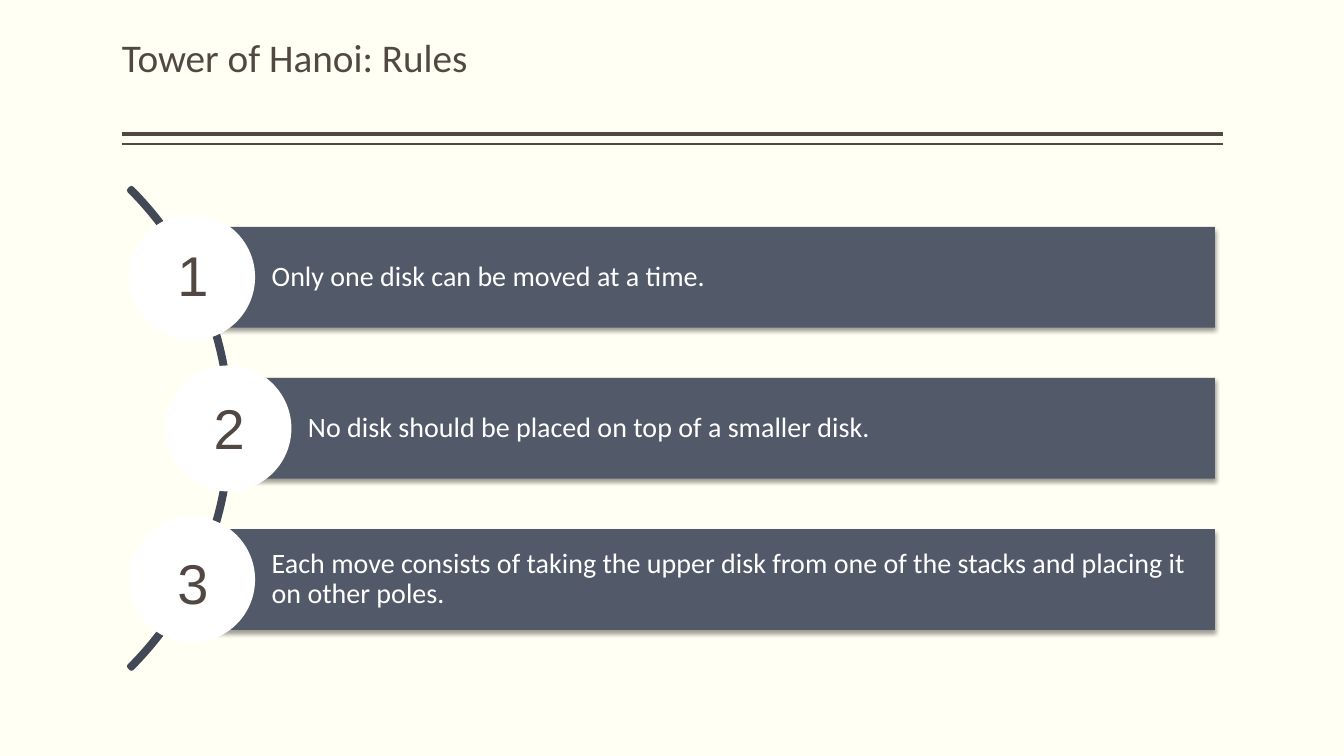
from pptx import Presentation
from pptx.dml.color import RGBColor as RGB
from pptx.enum.shapes import MSO_CONNECTOR as Link, MSO_SHAPE as Kind
from pptx.enum.text import MSO_ANCHOR as Anchor, PP_ALIGN as Align
from pptx.oxml import parse_xml
from pptx.oxml.ns import nsdecls
from pptx.util import Inches, Pt

# Content
TITLE = "Tower of Hanoi: Rules"
# number, rule, indent, top and width of the number's box
RULES = [
    ("1", "Only one disk can be moved at a time.", 0, 2.34, 0.52),
    ("2", "No disk should be placed on top of a smaller disk.", 0.36, 3.86, 0.63),
    ("3", "Each move consists of taking the upper disk from one of the stacks "
          "and placing it on other poles.", 0, 5.39, 0.91),
]
LINES = [(1.33, 3), (1.43, 1)]  # height, weight

# Colours
CREAM = RGB(0xFF, 0xFF, 0xF3)
BROWN = RGB(0x51, 0x48, 0x43)
SLATE = RGB(0x52, 0x5A, 0x6A)
DARK = RGB(0x42, 0x48, 0x55)
WHITE = RGB(0xFF, 0xFF, 0xFF)

# Grid
WIDE, HIGH = 13.33, 7.5
LEFT, RIGHT = 1.21, 12.13
EDGE = 12.05   # right end of the bars
FIRST = 2.25   # top of the first bar
STEP = 1.5     # from bar to bar
BAR = 1.0
DISK = 1.25 * BAR
START = 1.28   # left of the outer disks
ARC = 6.73

SHADOW = (f'<a:effectLst {nsdecls("a")}><a:outerShdw blurRad="39370" dist="25400" '
          'dir="5400000" rotWithShape="0"><a:srgbClr val="000000">'
          '<a:alpha val="38000"/></a:srgbClr></a:outerShdw></a:effectLst>')

deck = Presentation()
deck.slide_width, deck.slide_height = Inches(WIDE), Inches(HIGH)
slide = deck.slides.add_slide(deck.slide_layouts[6])
slide.background.fill.solid()
slide.background.fill.fore_color.rgb = CREAM


def box(x, y, w, h):
    return slide.shapes.add_textbox(*map(Inches, (x, y, w, h)))


def shape(kind, x, y, w, h, fill):
    part = slide.shapes.add_shape(kind, *map(Inches, (x, y, w, h)))
    part.shadow.inherit = False
    part.fill.solid()
    part.fill.fore_color.rgb = fill
    part.line.fill.background()
    return part


def write(part, text, size, color, font="Calibri", anchor=Anchor.TOP,
          pad=(0.1, 0.05, 0.1, 0.05), space=1.0):
    frame = part.text_frame
    frame.word_wrap = True
    frame.vertical_anchor = anchor
    (frame.margin_left, frame.margin_top,
     frame.margin_right, frame.margin_bottom) = map(Inches, pad)
    para = frame.paragraphs[0]
    para.alignment = Align.LEFT
    para.line_spacing = space
    run = para.add_run()
    run.text = text
    run.font.size, run.font.name = Pt(size), font
    run.font.color.rgb = color


# Title and double line
for y, weight in LINES:
    line = slide.shapes.add_connector(
        Link.STRAIGHT, *map(Inches, (LEFT, y, RIGHT, y)))
    line.line.color.rgb = BROWN
    line.line.width = Pt(weight)
    line._element.spPr.append(parse_xml(f'<a:effectLst {nsdecls("a")}/>'))
write(box(LEFT, 0.08, RIGHT - LEFT, 0.77), TITLE, 28, BROWN,
      anchor=Anchor.BOTTOM, pad=(0, 0.05, 0, 0.05), space=0.9)

# Arc behind the disks
mid = FIRST + STEP + BAR / 2
arc = shape(Kind.BLOCK_ARC, -4.44, mid - ARC / 2, ARC, ARC, DARK)
for i, value in enumerate((189, 27, 0.004)):
    arc.adjustments[i] = value
arc.line.color.rgb = DARK
arc.line.width = Pt(3.78)

# Bars with their disks
for row, (num, rule, dent, top, wide) in enumerate(RULES):
    x, y = START + dent, FIRST + row * STEP
    hub = x + DISK / 2
    bar = shape(Kind.RECTANGLE, hub, y, EDGE - hub, BAR, SLATE)
    props = bar._element.spPr
    props.remove(props.find("{*}effectLst"))
    props.append(parse_xml(SHADOW))
    write(bar, rule, 20, WHITE, anchor=Anchor.MIDDLE,
          pad=(0.79, 0.06, 0.06, 0.06), space=0.9)
    shape(Kind.OVAL, x, y + (BAR - DISK) / 2, DISK, DISK, WHITE)
    write(box(x + 0.38, top, wide, 0.77), num, 40, BROWN, font="Arial")

deck.save("out.pptx")
